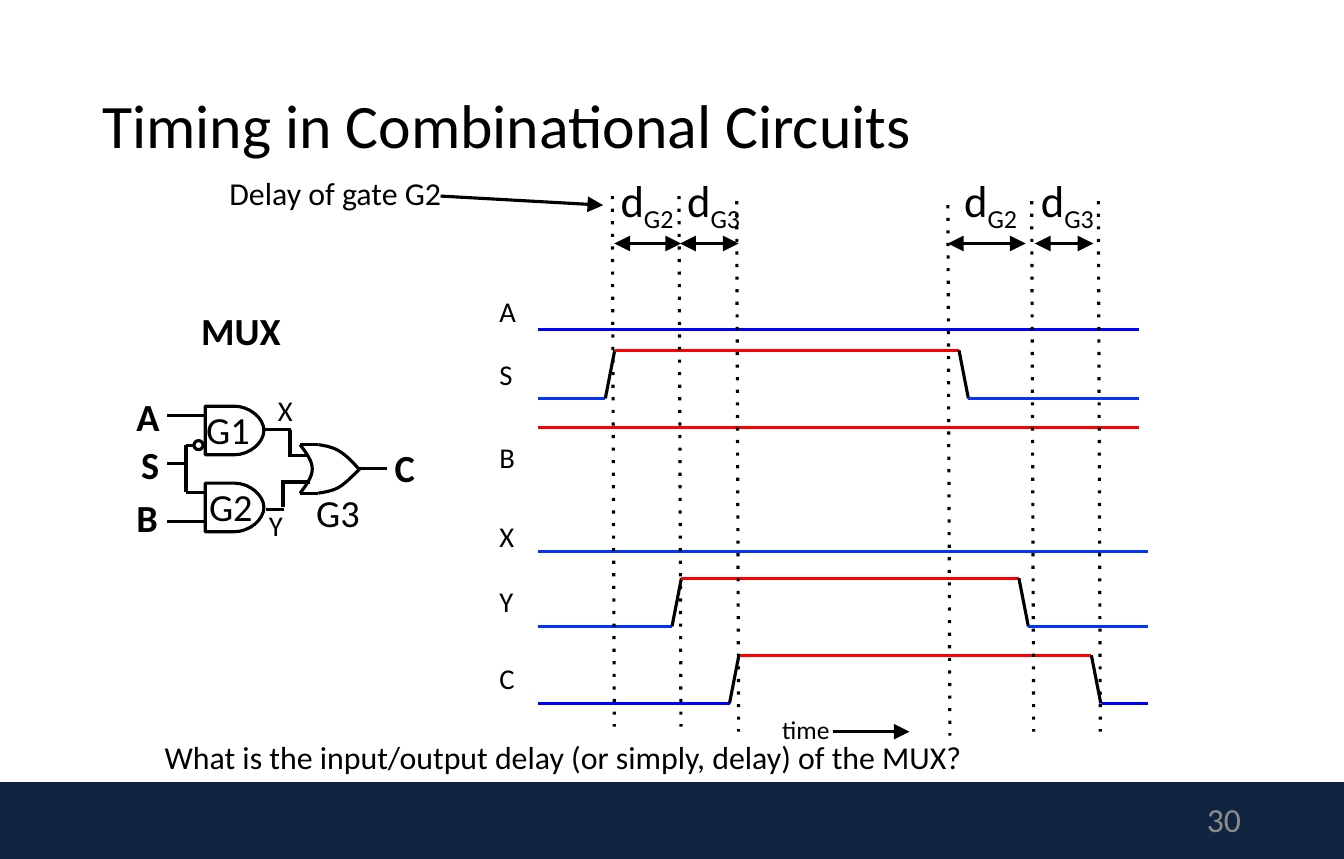
from pptx import Presentation
from pptx.util import Pt
from pptx.dml.color import RGBColor
from pptx.enum.shapes import MSO_CONNECTOR, MSO_SHAPE
from pptx.enum.text import MSO_ANCHOR, MSO_AUTO_SIZE, PP_ALIGN
from pptx.oxml.ns import qn
from lxml import etree

STRAIGHT = MSO_CONNECTOR.STRAIGHT
RECT, ROUND, OVAL = (MSO_SHAPE.RECTANGLE, MSO_SHAPE.ROUNDED_RECTANGLE,
                     MSO_SHAPE.OVAL)
LEFT, MID, RIGHT = PP_ALIGN.LEFT, PP_ALIGN.CENTER, PP_ALIGN.RIGHT
TOP, CENTRE = MSO_ANCHOR.TOP, MSO_ANCHOR.MIDDLE
FIXED = MSO_AUTO_SIZE.NONE
BLACK = RGBColor(0, 0, 0)
NAVY = RGBColor(0x10, 0x25, 0x3F)
GREY = RGBColor(0x8C, 0x8C, 0x8C)
RED = RGBColor(0xFF, 0, 0)
BLUE = RGBColor(0, 0, 0xFF)
AZURE = RGBColor(0x04, 0x32, 0xFF)
FONT = "Calibri"

# Content: text, left, top, width, height
TITLE = "Timing in Combinational Circuits"
PINS = [("A", 89.3, 275.8, 32.4, 41), ("S", 92.2, 310.3, 29.5, 41),
        ("B", 88.6, 347.8, 32.4, 41), ("C", 272.9, 312.5, 31, 41)]
GATES = [("G1", 139, 285.1, 47.5, 41.8), ("G2", 141.1, 339.8, 47.5, 41.8),
         ("G3", 217.4, 344.2, 47.5, 41.8)]
NODES = [("X", 190.1, 275.8), ("Y", 183.6, 357.8)]
ASK = "What is the input/output delay (or simply, delay) of the MUX?"

# Circuit: wires as corner points, gate tops
WIRES = [
    [(146.2, 371.5), (118.8, 371.5)],
    [(146.2, 295.9), (118.8, 295.9)],
    [(138.2, 317.2), (132.5, 317.2), (132.5, 350.6), (145.4, 350.6)],
    [(132.5, 330.5), (118.8, 330.5)],
    [(187.2, 306), (207.4, 306)], [(206.6, 306), (206.6, 323.3)],
    [(205.2, 324.7), (219.6, 324.7)],
    [(189.4, 362.9), (202.3, 362.9)], [(201.6, 361.4), (201.6, 344.2)],
    [(200.2, 343.4), (221, 343.4)],
    [(213.8, 316.8), (226.8, 316.8)], [(213.8, 351.7), (226.8, 351.7)],
    [(255.6, 334.1), (275.8, 334.1)],
]
AND_TOPS = [289.4, 344.2]
OR_ARCS = [
    [(226.8, 351.4), (231.8, 350.6), (236.9, 349.9), (241.9, 347),
     (246.2, 344.2), (251.3, 339.1), (256.3, 334.1)],
    [(226.8, 316.8), (231.1, 317.5), (236.2, 318.2), (241.2, 321.1),
     (246.2, 324), (251.3, 329), (255.6, 334.1)],
    [(213.8, 351.4), (218.2, 345.6), (222.5, 339.8), (222.5, 334.1),
     (222.5, 328.3), (218.2, 322.6), (213.8, 316.8)],
]

# Signals: name, label top and height, then level or low with rise and fall
START, SHORT, LONG = 383, 811.4, 817.9
STEP, RAMP = 34.3, 6.7
FLAT = [("A", 205.2, 33.1, 234.7, SHORT, BLUE),
        ("B", 308.9, 21.6, 304.6, SHORT, RED),
        ("X", 365.8, 33.1, 393.1, LONG, AZURE)]
PULSE = [("S", 249.8, 46.8, 283.9, 431.3, 683.3, SHORT, AZURE),
         ("Y", 411.8, 33.1, 446.3, 478.8, 726, LONG, AZURE),
         ("C", 466.6, 33.1, 501.1, 519.8, 777.6, LONG, BLUE)]

# Event marks: x, top; delays: subscript, label left, arrow from, arrow to
MARKS = [(436.3, 139.7), (483.8, 139.7), (524.9, 143.3),
         (675.4, 146.2), (735.1, 143.3), (782.6, 143.3)]
DELAYS = [("G2", 434.2, 437.8, 485.3), ("G3", 481.7, 484.6, 526.3),
          ("G2", 679, 675.4, 730.8), ("G3", 733.7, 737.3, 779)]

deck = Presentation()
deck.slide_width, deck.slide_height = Pt(957.6), Pt(612)
slide = deck.slides.add_slide(deck.slide_layouts[5])
shapes = slide.shapes


def style(runs, size, color=BLACK, bold=False):
    for run in runs:
        run.font.name, run.font.size = FONT, Pt(size)
        run.font.color.rgb, run.font.bold = color, bold


def write(box, text, size, bold=False, align=LEFT, color=BLACK, anchor=TOP):
    frame = box.text_frame
    frame.word_wrap = box.width > Pt(150)
    frame.auto_size, frame.vertical_anchor = FIXED, anchor
    frame.margin_left = frame.margin_right = Pt(7.9)
    frame.margin_top = frame.margin_bottom = Pt(4.2)
    frame.text = text
    para = frame.paragraphs[0]
    para.alignment = align
    style(para.runs, size, color, bold)
    return para


def label(text, x, y, w, h, size, bold=False, align=LEFT):
    box = shapes.add_shape(ROUND, Pt(x), Pt(y), Pt(w), Pt(h))
    box.adjustments[0] = 0.004
    box.fill.background()
    box.line.fill.background()
    box.shadow.inherit = False
    return write(box, text, size, bold, align)


def line(start, end, color=BLACK, ends=(), dash=None):
    wire = shapes.add_connector(STRAIGHT, *map(Pt, start + end))
    wire.line.color.rgb, wire.line.width = color, Pt(2.25)
    props = wire._element.spPr.find(qn("a:ln"))
    if dash:
        etree.SubElement(props, qn("a:prstDash"), val=dash)
    for tag in ends:
        etree.SubElement(props, qn(tag), type="triangle", w="lg", len="lg")
    etree.SubElement(wire._element.spPr, qn("a:effectLst"))


def ink(shape):
    shape.fill.background()
    shape.line.color.rgb, shape.line.width = BLACK, Pt(2.25)
    shape.shadow.inherit = False


def bend(points):
    """Draw two cubic curves through seven points, then straight sides."""
    dots = [(Pt(x), Pt(y)) for x, y in points]
    pen = shapes.build_freeform(*dots[0])
    pen.add_line_segments(dots[1:], close=False)
    shape = pen.convert_to_shape()
    sides = list(shape._element.iter(qn("a:lnTo")))
    for i in (0, 3):
        cubic = etree.Element(qn("a:cubicBezTo"))
        sides[i].addprevious(cubic)
        for side in sides[i:i + 3]:
            cubic.append(side[0])
            side.getparent().remove(side)
    ink(shape)


# Footer band, title and page number
band = shapes.add_shape(RECT, 0, Pt(557.3), Pt(957.6), Pt(54.7))
band.fill.solid()
band.fill.fore_color.rgb = NAVY
band.line.fill.background()
band.shadow.inherit = False
head = shapes.title
head.left, head.top, head.width, head.height = map(
    Pt, (65.5, 32.4, 825.8, 118.1))
head.text_frame.text = TITLE
head.text_frame.auto_size = FIXED
head.text_frame.vertical_anchor = CENTRE
first = head.text_frame.paragraphs[0]
first.alignment, first.line_spacing = LEFT, 0.9
style(first.runs, 44)
page = shapes.add_textbox(Pt(676.8), Pt(567.4), Pt(215.3), Pt(32.4))
write(page, "30", 24, False, RIGHT, GREY, CENTRE)

# Multiplexer circuit
ink(shapes.add_shape(OVAL, Pt(138.2), Pt(313.9), Pt(6.5), Pt(6.5)))
for top in AND_TOPS:
    mid, low = top + 17.3, top + 34.6
    bend([(167, top), (177.8, top), (188, top + 8.6), (188, mid),
          (188, low - 8.6), (177.8, low), (167, low),
          (146.2, low), (146.2, top), (167, top)])
for arc in OR_ARCS:
    bend(arc)
for wire in WIRES:
    for start, end in zip(wire, wire[1:]):
        line(start, end)
for pin in PINS:
    label(*pin, 27.3, True, MID)
for gate in GATES:
    label(*gate, 27.3)
for name, x, y in NODES:
    label(name, x, y, 27, 33.1, 20.4)
label("MUX", 135.4, 214.6, 73.4, 41.8, 27.3, True)

# Waveforms
for name, top, tall, level, end, color in FLAT:
    label(name, 347.8, top, 27, tall, 20.4)
    line((START, level), (end, level), color)
for name, top, tall, low, rise, fall, end, color in PULSE:
    label(name, 347.8, top, 27, tall, 20.4)
    high = low - STEP
    knots = [(START, low), (rise, low), (rise + RAMP, high),
             (fall, high), (fall + RAMP, low), (end, low)]
    tints = [color, BLACK, RED, BLACK, color]
    for a, b, tint in zip(knots, knots[1:], tints):
        line(a, b, tint)

# Event marks and delays
for x, top in MARKS:
    line((x, top), (x + 1.4, top + 378), dash="dot")
for sub, x, start, end in DELAYS:
    para = label("d", x, 118.8, 57.6, 46.8, 31.8)
    low = para.add_run()
    low.text = sub
    style([low], 31.8)
    low._r.get_or_add_rPr().set("baseline", "-25000")
    line((start, 173.5), (end, 173.5), ends=("a:headEnd", "a:tailEnd"))

# Notes with arrows
label(ASK, 109.4, 521.3, 591, 36, 22.7)
label("time", 549.4, 504.7, 50.4, 30.2, 18.2)
note = shapes.add_textbox(Pt(155.5), Pt(119.5), Pt(226), Pt(36))
write(note, "Delay of gate G2", 22.7)
line((313.9, 139.7), (429.8, 146.2), ends=("a:tailEnd",))
line((593.3, 521.3), (648, 521.3), ends=("a:tailEnd",))

deck.save("out.pptx")
